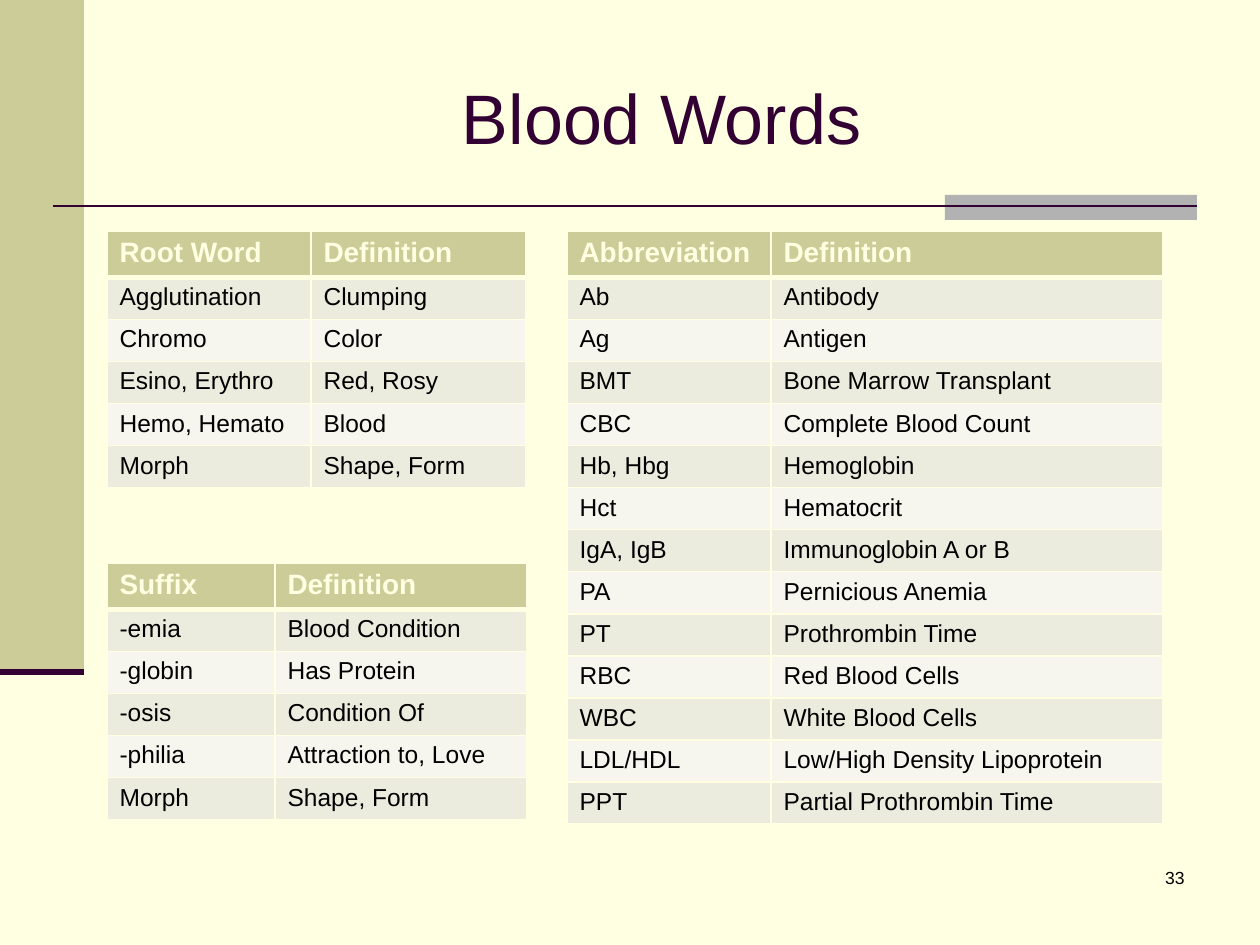
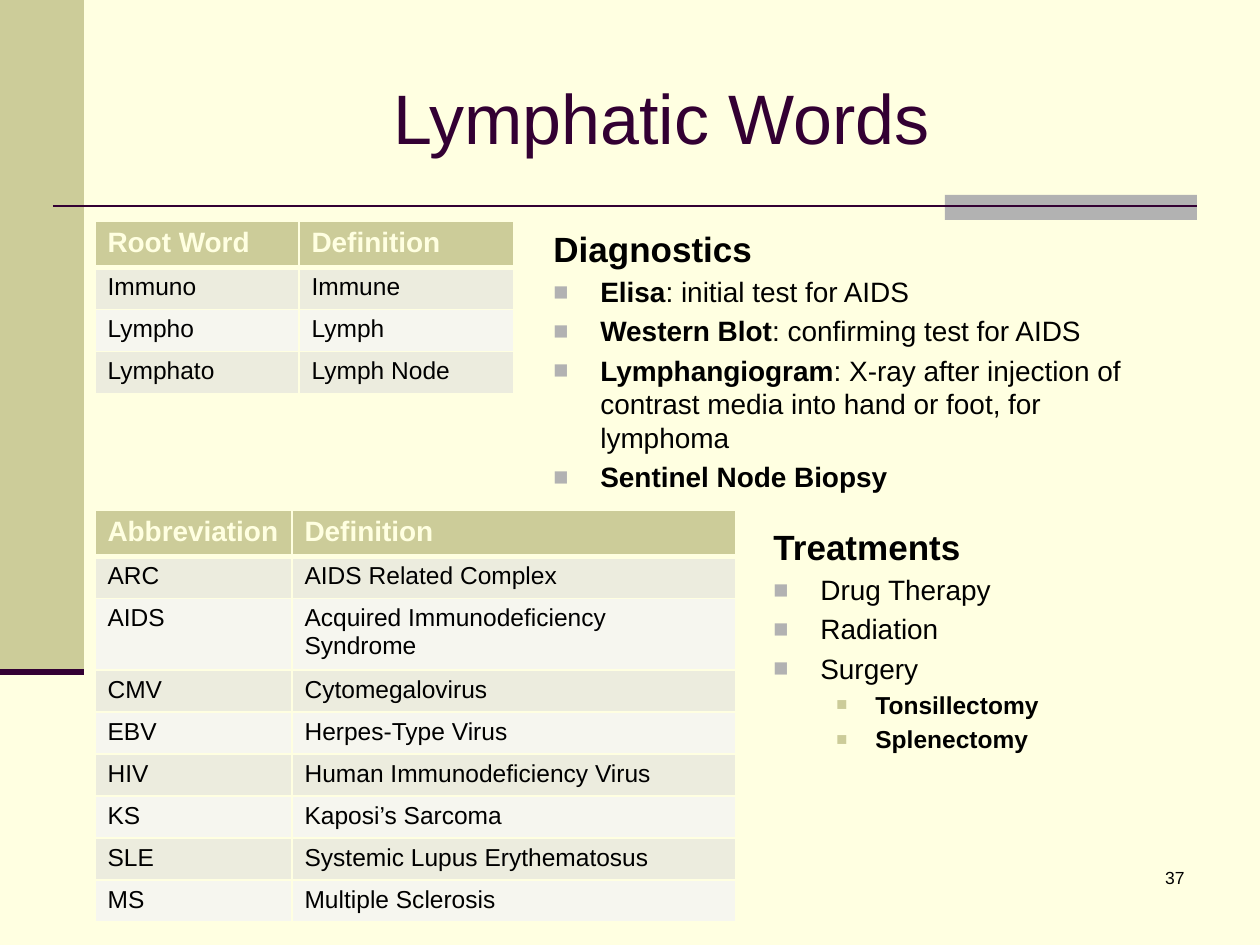
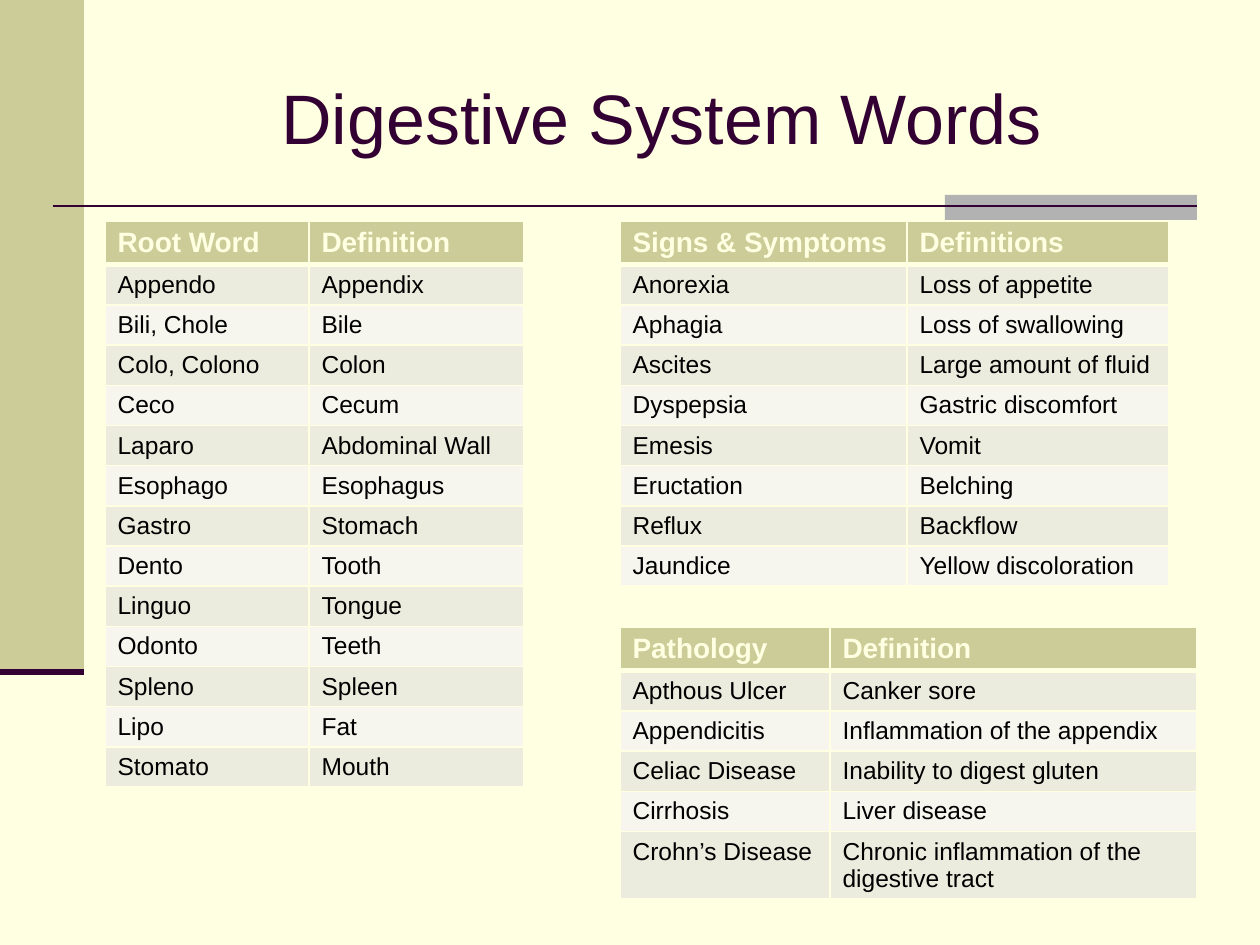
from lxml import etree
from pptx import Presentation
from pptx import util as u
from pptx.dml.color import RGBColor
from pptx.enum import shapes, text
from pptx.oxml import ns

PX = 914400 / 126
FONT = "Arial"
COLORS = {
    "page": "FFFFE1",
    "band": "CCCC99",
    "accent": "B2B2B2",
    "dark": "330033",
    "text": "000000",
    "odd": "ECECDE",
    "even": "F6F6EF",
}
HEAD_HEIGHT, ROW_HEIGHT = 42, 40
BULLETS = {
    1: {"size": 16, "left": 47, "hang": 47, "color": "accent", "percent": 90},
    2: {"size": 14, "left": 102, "hang": 39, "color": "band", "percent": 75},
}

BLOOD_ROOTS = [
    ("Root Word", "Definition"),
    ("Agglutination", "Clumping"),
    ("Chromo", "Color"),
    ("Esino, Erythro", "Red, Rosy"),
    ("Hemo, Hemato", "Blood"),
    ("Morph", "Shape, Form"),
]
BLOOD_SUFFIXES = [
    ("Suffix", "Definition"),
    ("-emia", "Blood Condition"),
    ("-globin", "Has Protein"),
    ("-osis", "Condition Of"),
    ("-philia", "Attraction to, Love"),
    ("Morph", "Shape, Form"),
]
BLOOD_ABBREVIATIONS = [
    ("Abbreviation", "Definition"),
    ("Ab", "Antibody"),
    ("Ag", "Antigen"),
    ("BMT", "Bone Marrow Transplant"),
    ("CBC", "Complete Blood Count"),
    ("Hb, Hbg", "Hemoglobin"),
    ("Hct", "Hematocrit"),
    ("IgA, IgB", "Immunoglobin A or B"),
    ("PA", "Pernicious Anemia"),
    ("PT", "Prothrombin Time"),
    ("RBC", "Red Blood Cells"),
    ("WBC", "White Blood Cells"),
    ("LDL/HDL", "Low/High Density Lipoprotein"),
    ("PPT", "Partial Prothrombin Time"),
]
LYMPH_ROOTS = [
    ("Root Word", "Definition"),
    ("Immuno", "Immune"),
    ("Lympho", "Lymph"),
    ("Lymphato", "Lymph Node"),
]
LYMPH_ABBREVIATIONS = [
    ("Abbreviation", "Definition"),
    ("ARC", "AIDS Related Complex"),
    ("AIDS", "Acquired Immunodeficiency Syndrome"),
    ("CMV", "Cytomegalovirus"),
    ("EBV", "Herpes-Type Virus"),
    ("HIV", "Human Immunodeficiency Virus"),
    ("KS", "Kaposi’s Sarcoma"),
    ("SLE", "Systemic Lupus Erythematosus"),
    ("MS", "Multiple Sclerosis"),
]
DIAGNOSTICS = [
    (1, "Elisa", ": initial test for AIDS"),
    (1, "Western Blot", ": confirming test for AIDS"),
    (1, "Lymphangiogram",
     ": X-ray after injection of contrast media into hand or foot, for lymphoma"),
    (1, "Sentinel Node Biopsy", ""),
]
TREATMENTS = [
    (1, "", "Drug Therapy"),
    (1, "", "Radiation"),
    (1, "", "Surgery"),
    (2, "Tonsillectomy", ""),
    (2, "Splenectomy", ""),
]
DIGESTIVE_ROOTS = [
    ("Root Word", "Definition"),
    ("Appendo", "Appendix"),
    ("Bili, Chole", "Bile"),
    ("Colo, Colono", "Colon"),
    ("Ceco", "Cecum"),
    ("Laparo", "Abdominal Wall"),
    ("Esophago", "Esophagus"),
    ("Gastro", "Stomach"),
    ("Dento", "Tooth"),
    ("Linguo", "Tongue"),
    ("Odonto", "Teeth"),
    ("Spleno", "Spleen"),
    ("Lipo", "Fat"),
    ("Stomato", "Mouth"),
]
SYMPTOMS = [
    ("Signs & Symptoms", "Definitions"),
    ("Anorexia", "Loss of appetite"),
    ("Aphagia", "Loss of swallowing"),
    ("Ascites", "Large amount of fluid"),
    ("Dyspepsia", "Gastric discomfort"),
    ("Emesis", "Vomit"),
    ("Eructation", "Belching"),
    ("Reflux", "Backflow"),
    ("Jaundice", "Yellow discoloration"),
]
PATHOLOGY = [
    ("Pathology", "Definition"),
    ("Apthous Ulcer", "Canker sore"),
    ("Appendicitis", "Inflammation of the appendix"),
    ("Celiac Disease", "Inability to digest gluten"),
    ("Cirrhosis", "Liver disease"),
    ("Crohn’s Disease", "Chronic inflammation of the digestive tract"),
]


def emu(*lengths):
    return [round(length * PX) for length in lengths]


def rgb(name):
    return RGBColor.from_string(COLORS[name])


def style(font, size, color="text", bold=False):
    font.name = FONT
    font.size = u.Pt(size)
    font.bold = bold
    font.color.rgb = rgb(color)


def add_xml(parent, tag, **attributes):
    return etree.SubElement(parent, ns.qn(tag), attributes)


def add_band(page, box, color):
    band = page.shapes.add_shape(shapes.MSO_SHAPE.RECTANGLE, *emu(*box))
    band.shadow.inherit = False
    band.fill.solid()
    band.fill.fore_color.rgb = rgb(color)
    band.line.fill.background()


def add_rule(page, left, right, y, width):
    rule = page.shapes.add_connector(
        shapes.MSO_CONNECTOR.STRAIGHT, *emu(left, y, right, y))
    rule.line.color.rgb = rgb("dark")
    rule.line.width = u.Pt(width)
    add_xml(rule._element.spPr, "a:effectLst")


def add_page(deck, title_text):
    page = deck.slides.add_slide(deck.slide_layouts[5])
    add_band(page, (0, 0, 84, 672), "band")
    add_band(page, (945, 195, 252, 25), "accent")
    add_rule(page, 53, 1197, 206, 1.5)
    add_rule(page, 0, 84, 672, 3.5)
    title = page.shapes.title
    title.left, title.top, title.width, title.height = emu(126, 38, 1071, 157)
    frame = title.text_frame
    frame.text = title_text
    frame.auto_size = text.MSO_AUTO_SIZE.NONE
    frame.vertical_anchor = text.MSO_ANCHOR.MIDDLE
    para = frame.paragraphs[0]
    para.alignment = text.PP_ALIGN.CENTER
    style(para.runs[0].font, 40, "dark")
    return page


def add_text_box(page, box):
    frame = page.shapes.add_textbox(*emu(*box)).text_frame
    frame.word_wrap = True
    return frame


def add_number(page, number):
    para = add_text_box(page, (935, 861, 262, 63)).paragraphs[0]
    para.text = number
    para.alignment = text.PP_ALIGN.RIGHT
    style(para.runs[0].font, 10)


def add_borders(cell, row):
    widths = {"L": 1, "R": 1, "T": 3 if row == 1 else 1, "B": 3 if row == 0 else 1}
    properties = cell._tc.get_or_add_tcPr()
    for side, width in widths.items():
        line = add_xml(properties, f"a:ln{side}", w=str(u.Pt(width)))
        fill = add_xml(line, "a:solidFill")
        add_xml(fill, "a:srgbClr", val=COLORS["page"])


def fill_cell(cell, row, words):
    add_borders(cell, row)
    cell.fill.solid()
    cell.text = words
    font = cell.text_frame.paragraphs[0].runs[0].font
    if row == 0:
        cell.fill.fore_color.rgb = rgb("band")
        style(font, 16, "page", True)
    else:
        cell.fill.fore_color.rgb = rgb("odd" if row % 2 else "even")
        style(font, 14)


def add_word_table(page, left, top, widths, entries):
    height = HEAD_HEIGHT + ROW_HEIGHT * (len(entries) - 1)
    table = page.shapes.add_table(
        len(entries), len(widths), *emu(left, top, sum(widths), height)).table
    table.horz_banding = False
    for column, width in zip(table.columns, emu(*widths)):
        column.width = width
    for index, entry in enumerate(entries):
        row_height = ROW_HEIGHT if index else HEAD_HEIGHT
        table.rows[index].height = emu(row_height)[0]
        for column, words in enumerate(entry):
            fill_cell(table.cell(index, column), index, words)


def add_bullet(para, level):
    look = BULLETS[level]
    left, hang = emu(look["left"], look["hang"])
    properties = para._p.get_or_add_pPr()
    properties.set("marL", str(left))
    properties.set("indent", str(-hang))
    color = add_xml(properties, "a:buClr")
    add_xml(color, "a:srgbClr", val=COLORS[look["color"]])
    add_xml(properties, "a:buSzPct", val=str(look["percent"] * 1000))
    add_xml(properties, "a:buFont", typeface=FONT)
    add_xml(properties, "a:buChar", char="■")


def add_list(page, box, heading, items):
    frame = add_text_box(page, box)
    frame.text = heading
    style(frame.paragraphs[0].runs[0].font, 20, bold=True)
    for level, term, detail in items:
        size = BULLETS[level]["size"]
        para = frame.add_paragraph()
        para.level = level - 1
        add_bullet(para, level)
        para.space_before = u.Pt(size * 0.2)
        for words, bold in ((term, True), (detail, False)):
            if words:
                span = para.add_run()
                span.text = words
                style(span.font, size, bold=bold)


def build_blood(deck):
    page = add_page(deck, "Blood Words")
    add_number(page, "33")
    add_word_table(page, 107, 231, (204, 215), BLOOD_ROOTS)
    add_word_table(page, 107, 563, (168, 252), BLOOD_SUFFIXES)
    add_word_table(page, 567, 231, (204, 392), BLOOD_ABBREVIATIONS)


def build_lymphatic(deck):
    page = add_page(deck, "Lymphatic Words")
    add_list(page, (541, 221, 635, 273), "Diagnostics", DIAGNOSTICS)
    add_number(page, "37")
    add_word_table(page, 95, 221, (204, 215), LYMPH_ROOTS)
    add_word_table(page, 95, 510, (197, 444), LYMPH_ABBREVIATIONS)
    add_list(page, (761, 519, 347, 248), "Treatments", TREATMENTS)


def build_digestive(deck):
    page = add_page(deck, "Digestive System Words")
    add_word_table(page, 105, 221, (204, 215), DIGESTIVE_ROOTS)
    add_word_table(page, 620, 221, (287, 262), SYMPTOMS)
    add_word_table(page, 620, 627, (210, 367), PATHOLOGY)


def main():
    deck = Presentation()
    deck.slide_width, deck.slide_height = emu(1260, 945)
    background = deck.slide_master.background.fill
    background.solid()
    background.fore_color.rgb = rgb("page")
    build_blood(deck)
    build_lymphatic(deck)
    build_digestive(deck)
    deck.save("out.pptx")


if __name__ == "__main__":
    main()
